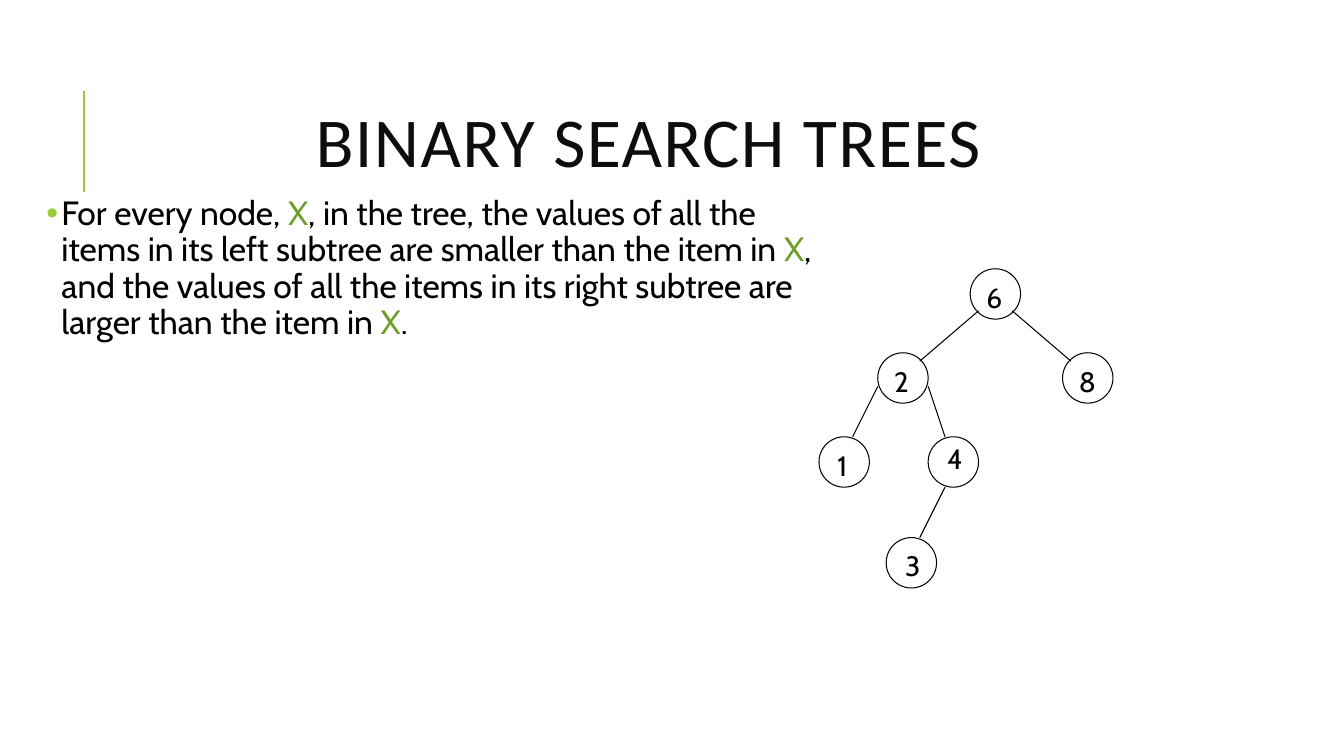
from lxml import etree
from pptx import Presentation
from pptx.dml.color import RGBColor
from pptx.enum.shapes import MSO_CONNECTOR, MSO_SHAPE
from pptx.enum.text import MSO_ANCHOR, PP_ALIGN
from pptx.oxml.ns import qn
from pptx.util import Pt

STRAIGHT = MSO_CONNECTOR.STRAIGHT
OVAL = MSO_SHAPE.OVAL
TOP, MIDDLE = MSO_ANCHOR.TOP, MSO_ANCHOR.MIDDLE
CENTER = PP_ALIGN.CENTER

TITLE = "BINARY SEARCH TREES"
RULE = [
    ("For every node, ", "text"),
    ("X", "variable"),
    (", in the tree, the values of all the items in its left subtree "
     "are smaller than the item in ", "text"),
    ("X", "variable"),
    (", and the values of all the items in its right subtree "
     "are larger than the item in ", "text"),
    ("X", "variable"),
    (".", "text"),
]
NODES = {
    "6": {"at": (693, 192), "label": (4.5, 4.5)},
    "2": {"at": (627, 252), "label": (4.5, 4.5)},
    "8": {"at": (759, 252), "label": (4.5, 4.5)},
    "1": {"at": (585, 312), "label": (6, 4.5)},
    "4": {"at": (663, 312), "label": (6.5, 0)},
    "3": {"at": (633, 384), "label": (6.5, 4.5)},
}
EDGES = [
    ("6", (6, 30), "2", (30, 6)),
    ("6", (30, 30), "8", (6, 6)),
    ("2", (0, 24), "1", (24, 0)),
    ("2", (36, 24), "4", (12, 0)),
    ("4", (12, 36), "3", (24, 0)),
]
NODE_SIZE = 36
LABEL_SIZE = (25.2, 31)

THEME = {
    "text": RGBColor(0x00, 0x00, 0x00),
    "title": RGBColor(0x0D, 0x0D, 0x0D),
    "variable": RGBColor(0x6B, 0x9F, 0x25),
    "accent": RGBColor(0x99, 0xCB, 0x38),
    "title_font": "Calibri",
    "body_font": "Cabin",
    "title_size": 50,
    "body_size": 24,
    "node_size": 20,
}


def style_run(run, font, size, color):
    run.font.name = THEME[font]
    run.font.size = Pt(THEME[size])
    run.font.color.rgb = THEME[color]


def add_text_frame(slide, left, top, width, height, anchor=TOP, wrap=True):
    box = slide.shapes.add_textbox(Pt(left), Pt(top), Pt(width), Pt(height))
    frame = box.text_frame
    frame.word_wrap = wrap
    frame.vertical_anchor = anchor
    return frame


def add_line(slide, start, end, color, width):
    line = slide.shapes.add_connector(STRAIGHT, *(Pt(value) for value in (*start, *end)))
    line.line.color.rgb = THEME[color]
    line.line.width = Pt(width)
    etree.SubElement(line._element.spPr, qn("a:effectLst"))


def add_bullet(paragraph, margin, indent):
    properties = paragraph._p.get_or_add_pPr()
    properties.set("marL", str(Pt(margin)))
    properties.set("indent", str(Pt(indent)))
    color = etree.SubElement(properties, qn("a:buClr"))
    etree.SubElement(color, qn("a:srgbClr"), val=str(THEME["accent"]))
    etree.SubElement(properties, qn("a:buFont"), typeface="Arial")
    etree.SubElement(properties, qn("a:buChar"), char="•")


def add_title(slide):
    frame = add_text_frame(slide, 80.6, 46, 765.4, 118, MIDDLE)
    frame.text = TITLE
    paragraph = frame.paragraphs[0]
    paragraph.alignment = CENTER
    paragraph.line_spacing = 0.8
    run = paragraph.runs[0]
    style_run(run, "title_font", "title_size", "title")
    run.font._element.set("spc", "100")


def add_rule(slide):
    frame = add_text_frame(slide, 19.4, 136.8, 577.4, 371.5)
    frame.margin_left = frame.margin_right = Pt(3.6)
    frame.margin_top = frame.margin_bottom = Pt(3.6)
    paragraph = frame.paragraphs[0]
    add_bullet(paragraph, 20.9, -10.8)
    paragraph.line_spacing = 0.9
    paragraph.space_after = Pt(4)
    for text, color in RULE:
        run = paragraph.add_run()
        run.text = text
        style_run(run, "body_font", "body_size", color)


def add_node(slide, value, at, label):
    left, top = at
    circle = slide.shapes.add_shape(OVAL, Pt(left), Pt(top), Pt(NODE_SIZE), Pt(NODE_SIZE))
    circle.shadow.inherit = False
    circle.fill.background()
    circle.line.color.rgb = THEME["text"]
    circle.line.width = Pt(0.75)
    frame = add_text_frame(slide, left + label[0], top + label[1], *LABEL_SIZE, wrap=False)
    frame.text = value
    style_run(frame.paragraphs[0].runs[0], "body_font", "node_size", "text")


def point_on(value, offset):
    left, top = NODES[value]["at"]
    return left + offset[0], top + offset[1]


def main():
    presentation = Presentation()
    presentation.slide_width, presentation.slide_height = Pt(960), Pt(540)
    slide = presentation.slides.add_slide(presentation.slide_layouts[6])
    add_line(slide, (60, 136.8), (60, 64.8), "accent", 1.5)
    add_title(slide)
    add_rule(slide)
    for value, node in NODES.items():
        add_node(slide, value, **node)
    for parent, start, child, end in EDGES:
        add_line(slide, point_on(parent, start), point_on(child, end), "text", 0.75)
    presentation.save("out.pptx")


if __name__ == "__main__":
    main()
